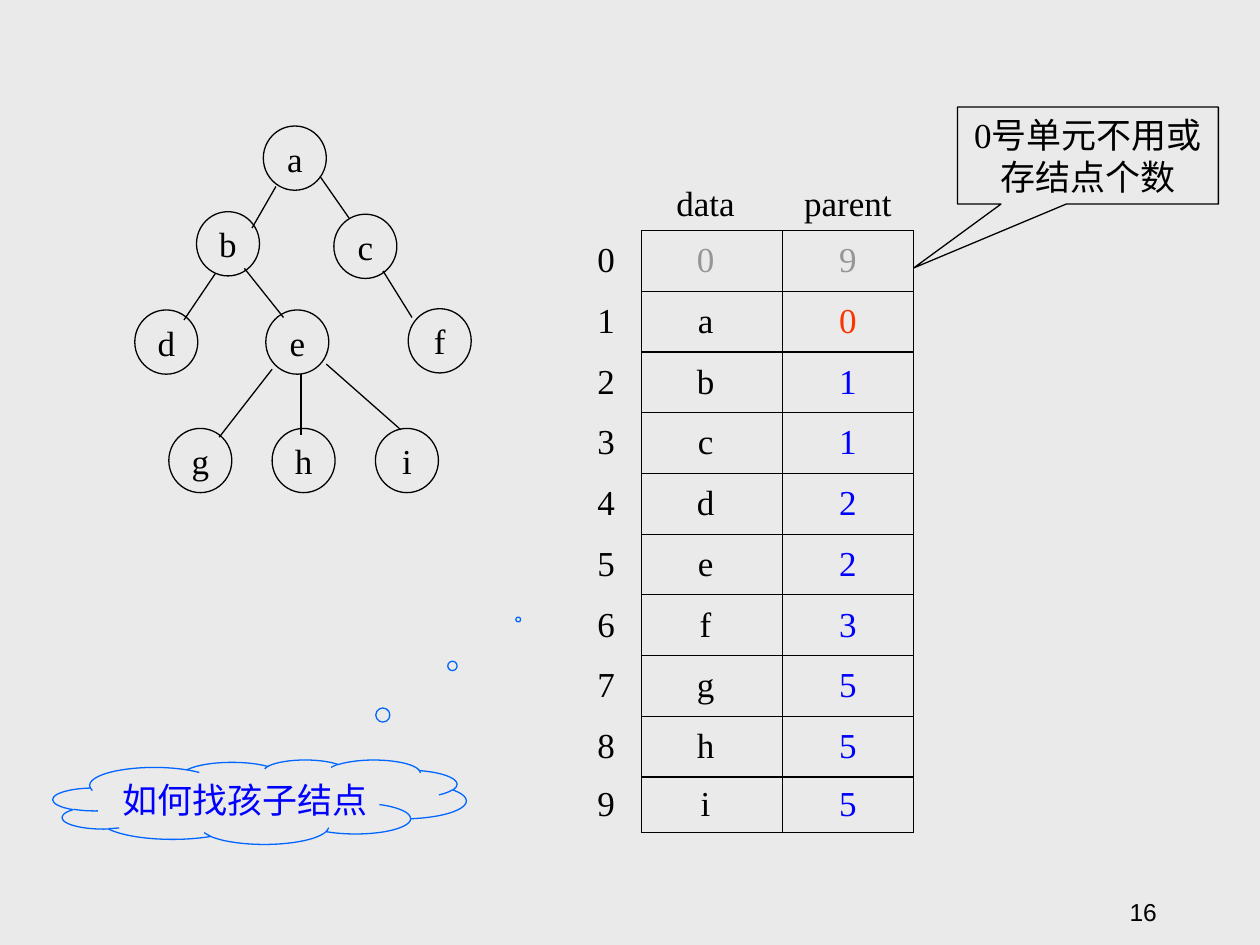
from dataclasses import dataclass

from lxml import etree
from pptx import Presentation
from pptx.dml.color import RGBColor
from pptx.enum.shapes import MSO_CONNECTOR, MSO_SHAPE
from pptx.enum.text import MSO_ANCHOR, PP_ALIGN
from pptx.oxml.ns import qn
from pptx.util import Inches, Pt

OVAL = MSO_SHAPE.OVAL
WEDGE = MSO_SHAPE.RECTANGULAR_CALLOUT
CLOUD = MSO_SHAPE.CLOUD_CALLOUT
STRAIGHT = MSO_CONNECTOR.STRAIGHT
CENTER, RIGHT = PP_ALIGN.CENTER, PP_ALIGN.RIGHT
MIDDLE, BOTTOM = MSO_ANCHOR.MIDDLE, MSO_ANCHOR.BOTTOM

COLORS = {
    "paper": "EAEAEA",
    "ink": "000000",
    "unused": "969696",
    "root": "FF3300",
    "index": "0000FF",
    "cloud": "0066FF",
}
GRID_COLUMNS, GRID_ROWS = 100, 75
SERIF, SANS = "Times New Roman", "Arial"
LINE_WIDTH = Pt(0.75)
PLAIN_TABLE = "{2D5ABB26-0587-4C30-8999-92F81FD0307C}"


@dataclass
class Node:
    name: str
    column: float
    row: float


@dataclass
class Edge:
    start: tuple[float, float]
    end: tuple[float, float]


@dataclass
class Callout:
    kind: int
    area: tuple[float, float, float, float]
    tip: tuple[float, float]
    lines: list[str]
    line_color: str
    text_color: str


NODES = [
    Node("a", 20.9, 10), Node("b", 15.6, 16.8), Node("c", 26.5, 17),
    Node("d", 10.7, 24.6), Node("e", 21.1, 24.6), Node("f", 32.4, 24.5),
    Node("g", 13.4, 34), Node("h", 21.6, 34), Node("i", 29.8, 34),
]
EDGES = [
    Edge((21.9, 14.8), (20, 18.1)), Edge((25.4, 14), (27.7, 17.3)),
    Edge((17.1, 21.7), (14.6, 25.4)), Edge((19.4, 21.3), (22.5, 25.2)),
    Edge((30.4, 21.5), (32.7, 25.2)), Edge((21.6, 29.3), (17.4, 34.7)),
    Edge((23.9, 29.7), (23.9, 34.5)), Edge((25.9, 28.9), (31.8, 34.1)),
]
CALLOUTS = [
    Callout(WEDGE, (76, 8.5, 20.7, 7.7), (-0.668, 1.158),
            ["0号单元不用或", "存结点个数"], "ink", "ink"),
    Callout(CLOUD, (4.2, 60.3, 32.8, 6.7), (0.626, -2.161),
            ["如何找孩子结点"], "cloud", "index"),
]
RECORDS = list(zip("0abcdefghi", "9011223555"))
TABLE_ORIGIN = (45.3, 14.2)
COLUMN_WIDTHS = (5.6, 11.2, 10.4)
ROW_HEIGHTS = (4.1, *[4.82] * 9, 4.4)


def grid(*units: float) -> list[int]:
    """Turn grid columns or rows into lengths."""
    return [Inches(unit * 10 / GRID_COLUMNS) for unit in units]


def rgb(name: str) -> RGBColor:
    """Look up a named colour."""
    return RGBColor.from_string(COLORS[name])


def write(frame, lines: list[str], color: str = "ink", size: float = 20,
          font: str = SERIF, align=CENTER) -> None:
    """Write formatted paragraphs into a text frame."""
    for number, line in enumerate(lines):
        para = frame.add_paragraph() if number else frame.paragraphs[0]
        para.alignment = align
        span = para.add_run()
        span.text = line
        span.font.color.rgb = rgb(color)
        for key, value in {"size": Pt(size), "name": font}.items():
            setattr(span.font, key, value)


def draw_shape(page, kind, area, lines, line_color="ink", text_color="ink"):
    """Draw an unfilled outlined shape with centred text."""
    shape = page.shapes.add_shape(kind, *grid(*area))
    shape.shadow.inherit = False
    shape.fill.background()
    shape.line.width = LINE_WIDTH
    shape.line.color.rgb = rgb(line_color)
    frame = shape.text_frame
    frame.word_wrap, frame.vertical_anchor = False, MIDDLE
    write(frame, lines, text_color)
    return shape


def draw_edge(page, edge: Edge) -> None:
    """Draw a branch of the tree."""
    line = page.shapes.add_connector(STRAIGHT, *grid(*edge.start, *edge.end))
    line.line.width = LINE_WIDTH
    line.line.color.rgb = rgb("ink")
    etree.SubElement(line._element.spPr, qn("a:effectLst"))


def draw_callout(page, callout: Callout) -> None:
    """Draw a callout pointing at its tip."""
    shape = draw_shape(page, callout.kind, callout.area, callout.lines,
                       callout.line_color, callout.text_color)
    for position, value in enumerate(callout.tip):
        shape.adjustments[position] = value


def set_borders(cell, row: int, column: int) -> None:
    """Rule the data cells and leave headings and indexes open."""
    body = row > 0 and column > 0
    sides = {"lnL": body, "lnR": row > 0, "lnT": body, "lnB": column > 0}
    properties = cell._tc.get_or_add_tcPr()
    for side, ruled in sides.items():
        border = etree.SubElement(properties, qn(f"a:{side}"), w=str(LINE_WIDTH))
        fill = etree.SubElement(border, qn("a:solidFill" if ruled else "a:noFill"))
        if ruled:
            etree.SubElement(fill, qn("a:srgbClr"), val=COLORS["ink"])


def cell_color(row: int, column: int) -> str:
    """Choose the text colour of a table cell."""
    if row == 0 or column == 0:
        return "ink"
    if row == 1:
        return "unused"
    if column == 1:
        return "ink"
    return "root" if row == 2 else "index"


def draw_parent_table(page) -> None:
    """Draw the array of nodes and their parents."""
    rows = [("", "data", "parent")]
    rows += [(str(index), *record) for index, record in enumerate(RECORDS)]
    area = grid(*TABLE_ORIGIN, sum(COLUMN_WIDTHS), sum(ROW_HEIGHTS))
    table = page.shapes.add_table(len(rows), len(COLUMN_WIDTHS), *area).table
    table.first_row = table.horz_banding = False
    table._tbl.tblPr.find(qn("a:tableStyleId")).text = PLAIN_TABLE
    for column, width in zip(table.columns, grid(*COLUMN_WIDTHS)):
        column.width = width
    for row, height in zip(table.rows, grid(*ROW_HEIGHTS)):
        row.height = height
    for r, values in enumerate(rows):
        for c, value in enumerate(values):
            cell = table.cell(r, c)
            layout = {"margin_left": 0, "margin_top": 0, "margin_bottom": 0,
                      "margin_right": Inches(0.1 if c == 1 else 0),
                      "vertical_anchor": MIDDLE}
            for key, setting in layout.items():
                setattr(cell, key, setting)
            set_borders(cell, r, c)
            cell.fill.background()
            write(cell.text_frame, [value], cell_color(r, c))


def main() -> None:
    """Build the slide on parent links in a tree."""
    deck = Presentation()
    deck.slide_width, deck.slide_height = grid(GRID_COLUMNS, GRID_ROWS)
    page = deck.slides.add_slide(deck.slide_layouts[6])
    page.background.fill.solid()
    page.background.fill.fore_color.rgb = rgb("paper")
    for node in NODES:
        draw_shape(page, OVAL, (node.column, node.row, 5, 5.1), [node.name])
    for edge in EDGES:
        draw_edge(page, edge)
    draw_parent_table(page)
    for callout in CALLOUTS:
        draw_callout(page, callout)
    box = page.shapes.add_textbox(*grid(72, 69, 20.8, 5))
    box.text_frame.word_wrap = True
    box.text_frame.vertical_anchor = BOTTOM
    write(box.text_frame, ["16"], size=14, font=SANS, align=RIGHT)
    deck.save("out.pptx")


if __name__ == "__main__":
    main()
